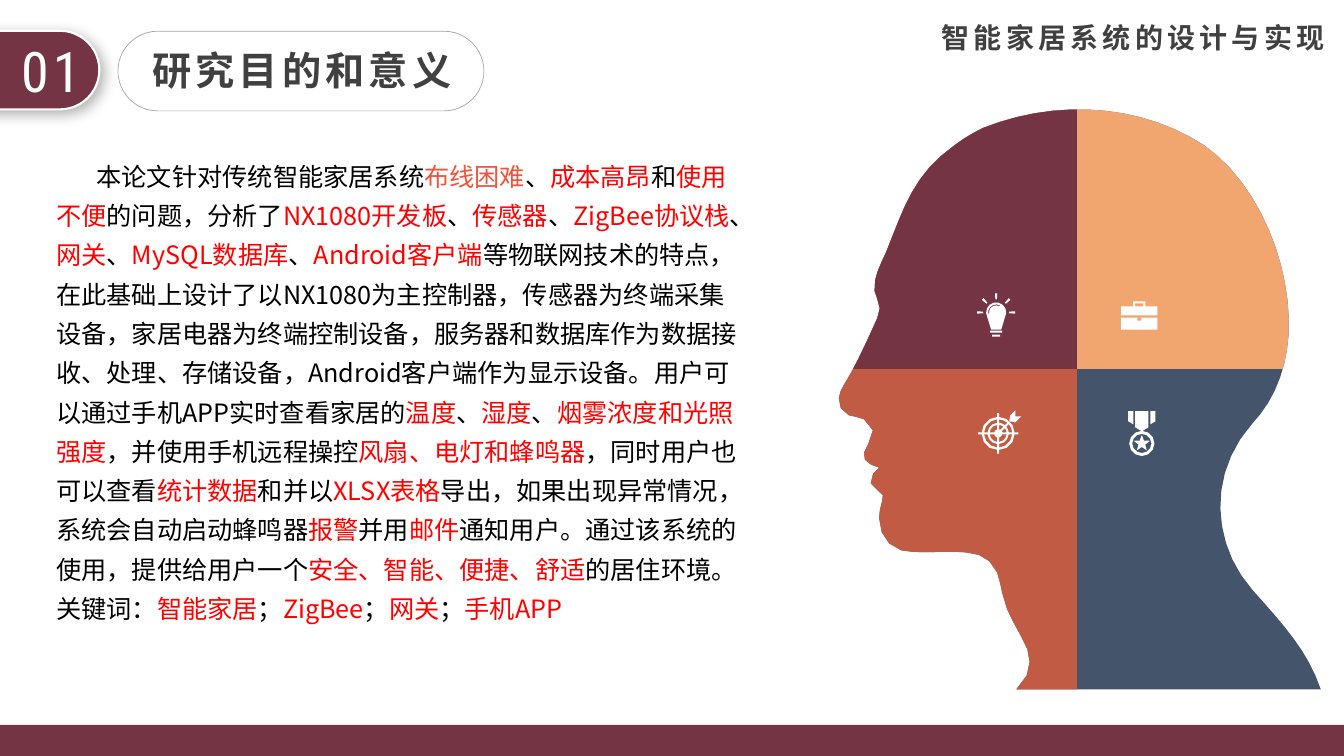
from math import ceil, cos, dist, pi, radians, sin

from lxml.etree import SubElement
from pptx import Presentation
from pptx.dml.color import RGBColor
from pptx.enum.shapes import MSO_SHAPE
from pptx.enum.text import MSO_ANCHOR, MSO_AUTO_SIZE, PP_ALIGN
from pptx.oxml.ns import qn
from pptx.util import Inches, Pt

CELL = Inches(0.01)
COLUMNS, ROWS = 1333, 750
HEAD_MIDDLE = (1068, 366)
SANS, CONDENSED = "Noto Sans CJK SC", "Roboto Condensed"
COLORS = {
    "maroon": "743443", "orange": "F2A66F", "brick": "C15B43", "slate": "44546A",
    "white": "FFFFFF", "black": "000000", "gray": "404040", "outline": "A6A6A6",
    "red": "FF0000", "coral": "F25237",
}
HEAD_START = (1242, 585)
HEAD_CURVES = [
    (1206, 544, 1199, 484, 1230, 436), (1236, 428, 1242, 420, 1250, 411),
    (1267, 389, 1276, 362, 1278, 333), (1282, 266, 1250, 183, 1194, 144),
    (1131, 103, 1048, 98, 975, 127), (965, 132, 956, 137, 947, 144),
    (906, 173, 897, 205, 879, 250), (875, 259, 870, 268, 868, 278),
    (866, 288, 868, 291, 870, 296), (874, 304, 873, 308, 870, 316),
    (860, 338, 850, 361, 837, 382), (835, 386, 832, 390, 832, 395),
    (831, 402, 835, 409, 842, 412), (847, 414, 852, 413, 857, 416),
    (869, 421, 867, 432, 861, 441), (859, 444, 857, 447, 857, 449),
    (856, 454, 858, 459, 864, 461), (866, 463, 869, 464, 872, 464),
    (869, 466, 867, 468, 866, 470), (859, 477, 865, 483, 871, 487),
    (875, 490, 878, 492, 875, 497), (873, 503, 872, 509, 872, 514),
    (872, 529, 880, 542, 894, 546), (912, 550, 939, 546, 958, 548),
    (972, 549, 983, 554, 989, 568), (991, 575, 993, 581, 994, 588),
    (999, 612, 1010, 623, 1019, 644), (1023, 656, 1023, 670, 1008, 684),
]
NECK_CURVE = (1297, 646, 1275, 622, 1242, 585)
ABSTRACT = (
    "本论文针对传统智能家居系统|布线困难|、|成本高昂|和|使用不便|的问题，分析了|NX1080开发板|、"
    "|传感器|、|ZigBee协议栈|、|网关|、|MySQL数据库|、|Android客户端|等物联网技术的特点，"
    "在此基础上设计了以NX1080为主控制器，传感器为终端采集设备，家居电器为终端控制设备，"
    "服务器和数据库作为数据接收、处理、存储设备，Android客户端作为显示设备。"
    "用户可以通过手机APP实时查看家居的|温度|、|湿度|、|烟雾浓度和光照强度|，并使用手机远程操控"
    "|风扇、电灯和蜂鸣器|，同时用户也可以查看|统计数据|和并以|XLSX表格|导出，如果出现异常情况，"
    "系统会自动启动蜂鸣器|报警|并用|邮件|通知用户。通过该系统的使用，提供给用户一个"
    "|安全、智能、便捷、舒适|的居住环境。"
)
KEYWORDS = "关键词：|智能家居|；|ZigBee|；|网关|；|手机APP"


def place(*cells):
    return [round(cell * CELL) for cell in cells]


def rgb(name):
    return RGBColor.from_string(COLORS[name])


def paint(shape, fill=None, line=None, width=0):
    shape.shadow.inherit = False
    if fill:
        shape.fill.solid()
        shape.fill.fore_color.rgb = rgb(fill)
    else:
        shape.fill.background()
    if line:
        shape.line.color.rgb = rgb(line)
        shape.line.width = Pt(width)
    else:
        shape.line.fill.background()


def add_panel(slide, kind, cells, fill=None, line=None, width=0):
    shape = slide.shapes.add_shape(kind, *place(*cells))
    paint(shape, fill, line, width)
    if kind == MSO_SHAPE.ROUNDED_RECTANGLE:
        shape.adjustments[0] = 0.5
    return shape


def add_soft_shadow(shape):
    effects = shape.element.spPr.find(qn("a:effectLst"))
    shadow = SubElement(effects, qn("a:outerShdw"), blurRad=str(Pt(10)), dist=str(Pt(4)),
                        dir="2700000", algn="tl", rotWithShape="0")
    color = SubElement(shadow, qn("a:srgbClr"), val=COLORS["black"])
    SubElement(color, qn("a:alpha"), val="30000")


def format_run(run, size, color, font=SANS, bold=False, spacing=0):
    run.font.size, run.font.bold, run.font.name = Pt(size), bold, font
    run.font.color.rgb = rgb(color)
    properties = run.font._element
    SubElement(properties, qn("a:ea"), typeface=font)
    if spacing:
        properties.set("spc", str(spacing * 100))


def write_label(shape, text, size, color, align=PP_ALIGN.LEFT, **style):
    frame = shape.text_frame
    frame.text = text
    frame.word_wrap = True
    frame.auto_size = MSO_AUTO_SIZE.NONE
    frame.vertical_anchor = MSO_ANCHOR.TOP
    frame.paragraphs[0].alignment = align
    format_run(frame.paragraphs[0].runs[0], size, color, spacing=3, **style)


def write_highlighted(paragraph, text):
    paragraph.line_spacing = 1.3
    for index, piece in enumerate(text.split("|")):
        run = paragraph.add_run()
        run.text = piece
        highlight = "coral" if index == 1 and text == ABSTRACT else "red"
        format_run(run, 18, highlight if index % 2 else "black")


def add_outline(slide, contours, fill):
    scaled = [[place(*point) for point in contour] for contour in contours]
    builder = slide.shapes.build_freeform(*scaled[0][0], scale=1.0)
    for index, contour in enumerate(scaled):
        if index:
            builder.move_to(*contour[0])
        builder.add_line_segments(contour[1:], close=True)
    paint(builder.convert_to_shape(), fill)


def flatten(start, curves):
    points = [start]
    for x1, y1, x2, y2, x3, y3 in curves:
        x0, y0 = points[-1]
        steps = 1 + round(dist((x0, y0), (x3, y3)) / 18)
        for step in range(1, steps + 1):
            t = step / steps
            weights = (1 - t) ** 3, 3 * t * (1 - t) ** 2, 3 * t * t * (1 - t), t ** 3
            points.append(tuple(sum(w * v for w, v in zip(weights, values))
                                for values in ((x0, x1, x2, x3), (y0, y1, y2, y3))))
    return points


def clip(points, axis):
    limit, kept = HEAD_MIDDLE[axis], []
    for here, after in zip(points, points[1:] + points[:1]):
        if here[axis] <= limit:
            kept.append(here)
        if (here[axis] <= limit) != (after[axis] <= limit):
            share = (limit - here[axis]) / (after[axis] - here[axis])
            kept.append(tuple(a + (b - a) * share for a, b in zip(here, after)))
    return kept


def rectangle(left, top, width, height):
    right, bottom = left + width, top + height
    return [(left, top), (right, top), (right, bottom), (left, bottom)]


def polar(center, radius, angle):
    return center[0] + radius * cos(angle), center[1] + radius * sin(angle)


def arc(center, radius, start=0, end=2 * pi):
    steps = ceil(abs(end - start) / radians(30))
    return [polar(center, radius, start + (end - start) * step / steps)
            for step in range(steps + 1)]


def sector(center, inner, outer, start, end, gap=0):
    start, end = radians(start), radians(end)
    return (arc(center, outer, start + gap / outer, end - gap / outer)
            + arc(center, inner, end - gap / inner, start + gap / inner))


def bulb():
    center = (988, 310)
    glass = arc(center, 10, radians(150), radians(390)) + [(993, 327), (983, 327)]
    rays = [sector(center, 13, 19, angle - 3.5, angle + 3.5) for angle in range(180, 361, 45)]
    return [glass, sector(center, 7, 8, 170, 300), rectangle(982, 328, 12, 2),
            rectangle(984, 332, 8, 2), *rays]


def briefcase():
    handle = [(1124, 304), (1124, 299), (1136, 299), (1136, 304),
              (1134, 304), (1134, 301), (1126, 301), (1126, 304)]
    return [handle, rectangle(1112, 304, 36, 9), rectangle(1112, 315, 36, 12),
            rectangle(1128, 315, 4, 3)]


def target():
    center = (990, 430)
    edges = [0, 90, 180, 270, 315, 360]
    holes = [sector(center, inner, outer, start, end, 1)
             for inner, outer in ((4, 8.5), (10.5, 14))
             for start, end in zip(edges, edges[1:])]
    ticks = [sector(center, 16.5, 20, angle - 3, angle + 3) for angle in range(0, 360, 90)]
    feather = [(1001, 418), (1002, 412), (1007, 407), (1007, 413), (1013, 413), (1007, 419)]
    return [arc(center, 16.5), *holes, *ticks, feather]


def medal():
    center = (1132.5, 440)
    star = [polar(center, 3.5 if index % 2 else 8.5, -pi / 2 + index * pi / 5)
            for index in range(10)]
    ribbons = [
        [(1119, 408), (1124, 408), (1124, 421), (1119, 418)],
        [(1126, 408), (1139, 408), (1139, 424), (1132.5, 428), (1126, 424)],
        [(1141, 408), (1146, 408), (1146, 418), (1141, 421)],
    ]
    return [arc(center, 12.5), arc(center, 9.5), star, *ribbons]


def add_head(slide):
    head = flatten(HEAD_START, HEAD_CURVES) + flatten((1310, 684), [NECK_CURVE])
    upper, left = clip(head, 1), clip(head, 0)
    layers = [(head, "slate", medal), (upper, "orange", briefcase),
              (left, "brick", target), (clip(upper, 0), "maroon", bulb)]
    for part, color, icon in layers:
        add_outline(slide, [part], color)
        add_outline(slide, icon(), "white")


def add_text_box(slide, cells):
    box = slide.shapes.add_textbox(*place(*cells))
    box.text_frame.word_wrap = True
    return box


def add_header(slide):
    badge = add_panel(slide, MSO_SHAPE.ROUNDED_RECTANGLE, (-46, -36, 78, 211),
                      "maroon", "white", 1.5)
    badge.rotation = 90
    add_soft_shadow(badge)
    write_label(add_text_box(slide, (2, 31, 97, 77)), "01", 40, "white",
                PP_ALIGN.CENTER, font=CONDENSED)
    add_panel(slide, MSO_SHAPE.ROUNDED_RECTANGLE, (117, 31, 363, 79), None, "outline", 0.5)
    title = slide.shapes.title
    title.left, title.top, title.width, title.height = place(141, 41, 350, 57)
    write_label(title, "研究目的和意义", 28, "gray", bold=True)
    write_label(add_text_box(slide, (924, 15, 409, 44)), "智能家居系统的设计与实现",
                20, "gray", bold=True)


def add_abstract(slide):
    frame = add_text_box(slide, (46, 146, 700, 479)).text_frame
    first = frame.paragraphs[0]
    first._p.get_or_add_pPr().set("indent", str(40 * CELL))
    write_highlighted(first, ABSTRACT)
    write_highlighted(frame.add_paragraph(), KEYWORDS)


def main():
    presentation = Presentation()
    presentation.slide_width, presentation.slide_height = place(COLUMNS, ROWS)
    slide = presentation.slides.add_slide(presentation.slide_layouts[5])
    add_head(slide)
    add_header(slide)
    add_panel(slide, MSO_SHAPE.RECTANGLE, (0, 719, COLUMNS, 31), "maroon")
    add_abstract(slide)
    presentation.save("out.pptx")


if __name__ == "__main__":
    main()
